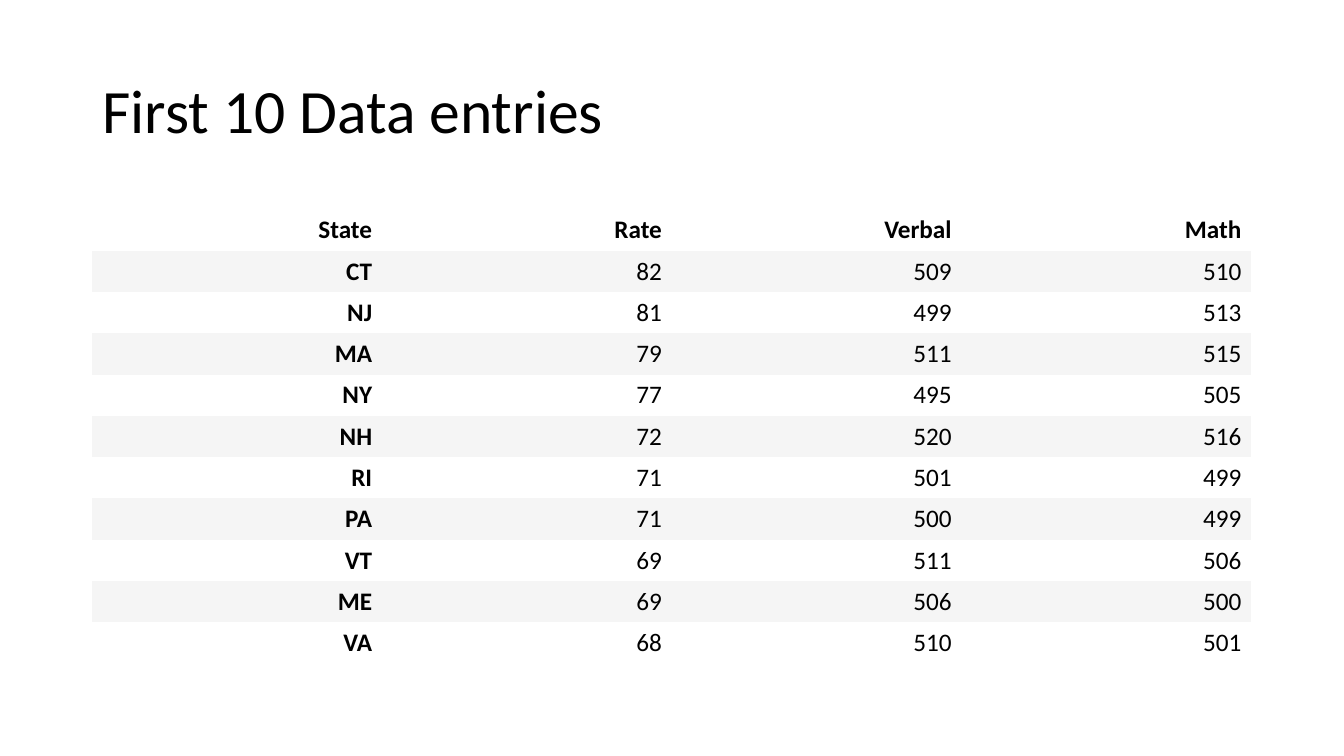
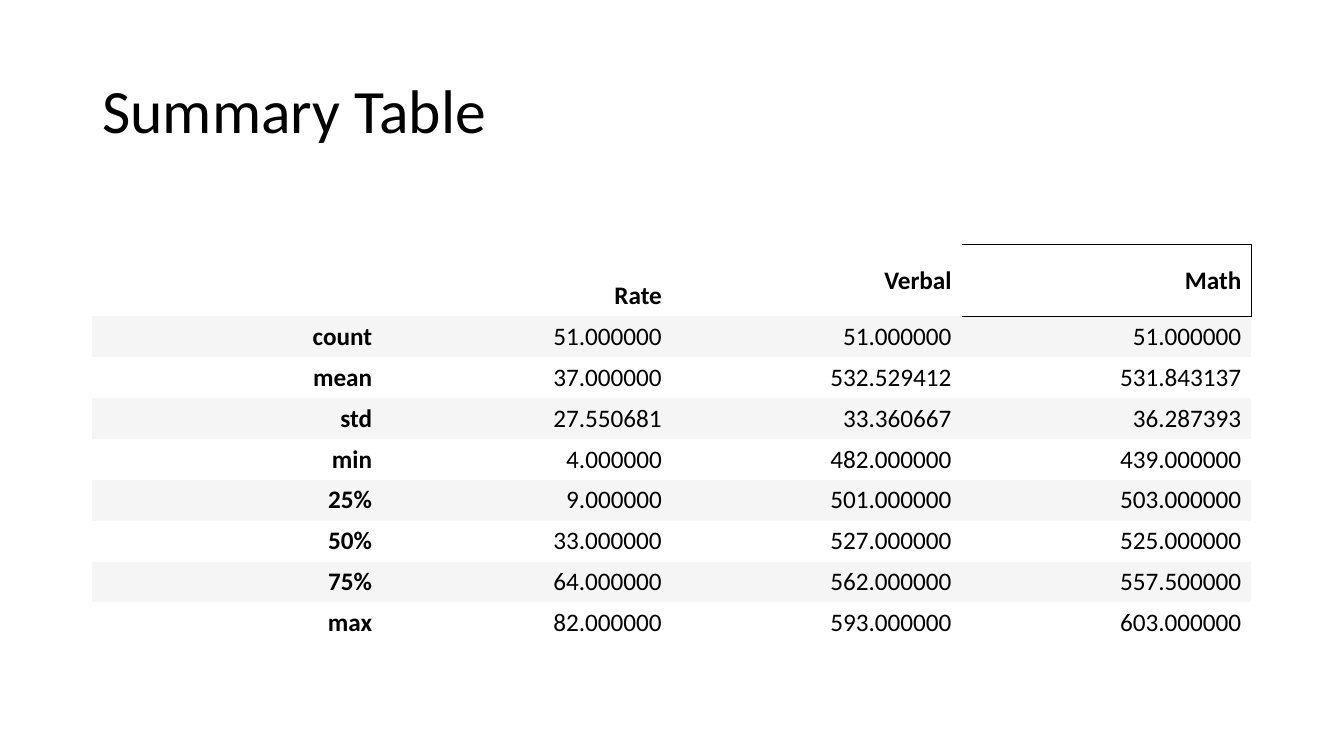
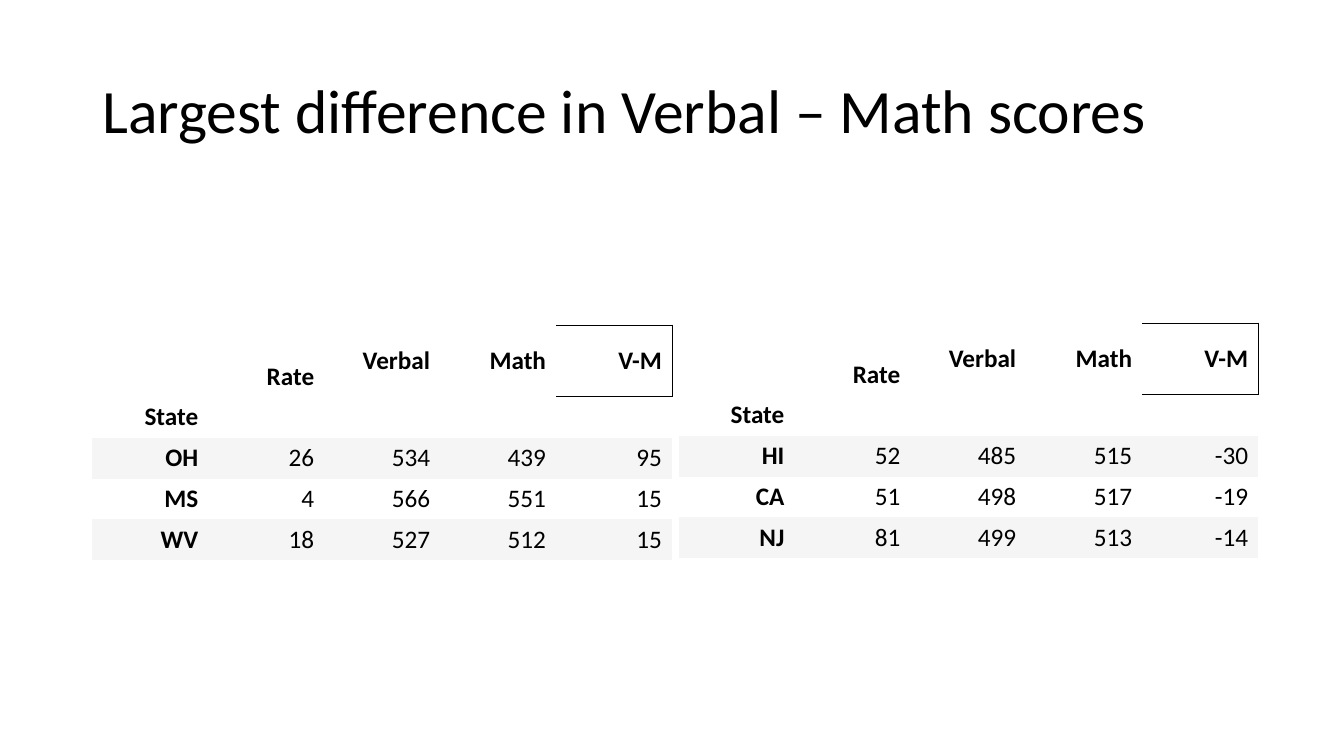
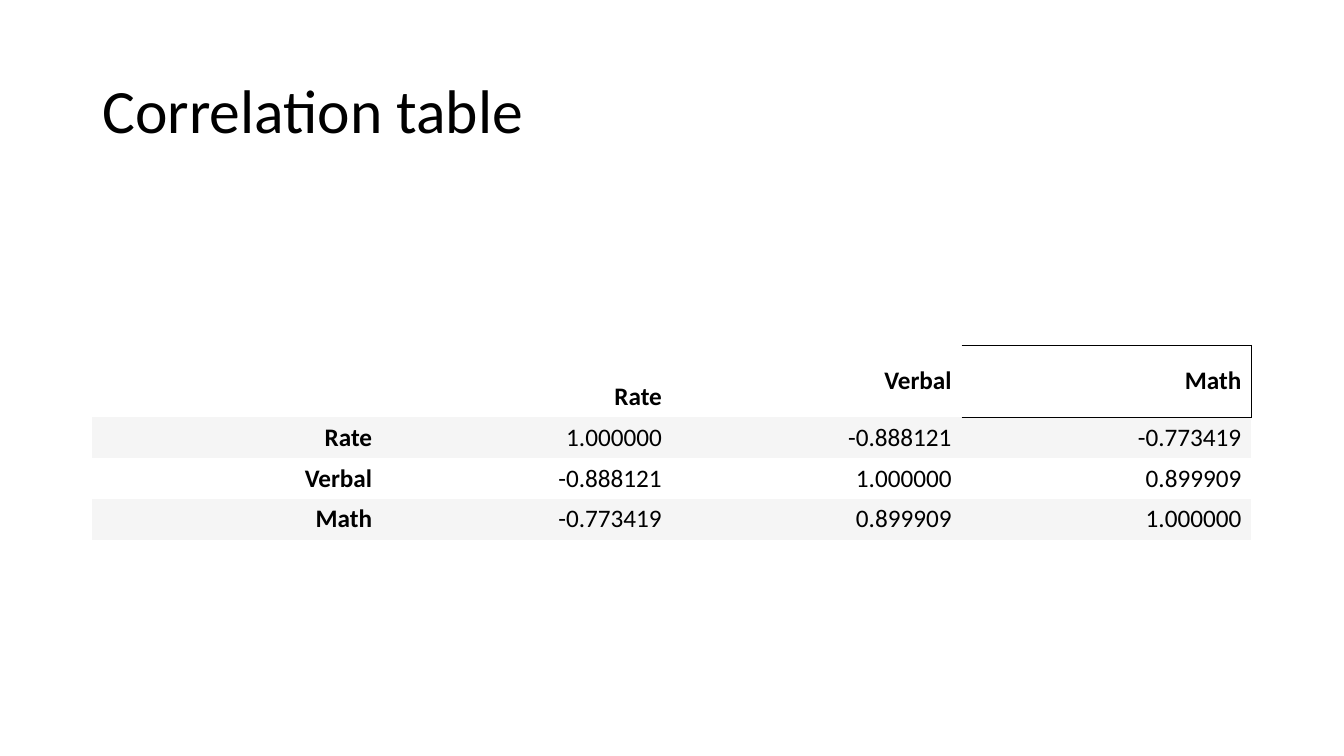
from lxml import etree
from pptx import Presentation
from pptx.dml.color import RGBColor
from pptx.enum.text import MSO_ANCHOR, PP_ALIGN
from pptx.oxml.ns import qn
from pptx.util import Cm, Pt

MIDDLE = MSO_ANCHOR.MIDDLE
BOTTOM = MSO_ANCHOR.BOTTOM
RIGHT = PP_ALIGN.RIGHT
PLAIN_TABLE = "{2D5ABB26-0587-4C30-8999-92F81FD0307C}"


def color(hex_code):
    return RGBColor.from_string(hex_code)


class Deck:
    FONT = "Calibri"
    INK = "000000"
    PAPER = "FFFFFF"
    BAND = "F5F5F5"
    LEFT = 2.33
    WIDTH = 29.21
    ROW = 1.03
    TALL_ROW = 1.81

    def __init__(self):
        self.prs = Presentation()
        self.prs.slide_width = Cm(33.87)
        self.prs.slide_height = Cm(19.05)
        self.slide = None

    def add_slide(self, title):
        self.slide = self.prs.slides.add_slide(self.prs.slide_layouts[6])
        box = self.slide.shapes.add_textbox(
            Cm(self.LEFT), Cm(1.01), Cm(self.WIDTH), Cm(3.68))
        frame = box.text_frame
        frame.word_wrap = True
        frame.vertical_anchor = MIDDLE
        heading = frame.paragraphs[0]
        heading.text = title
        heading.line_spacing = 0.9
        self.style(heading, 44)

    def style(self, paragraph, size, bold=False):
        font = paragraph.font
        font.name = self.FONT
        font.size = Pt(size)
        font.bold = bold
        font.color.rgb = color(self.INK)

    def outline(self, cell):
        props = cell._tc.get_or_add_tcPr()
        for index, side in enumerate(("lnR", "lnT", "lnB")):
            line = etree.Element(qn(f"a:{side}"), w=str(Pt(0.75)))
            fill = etree.SubElement(line, qn("a:solidFill"))
            etree.SubElement(fill, qn("a:srgbClr"), val=self.INK)
            props.insert(index, line)

    def add_table(self, rows, top, left=LEFT, width=WIDTH, row_height=ROW,
                  tall_header=True, first_band=1):
        count = len(rows[0])
        heights = [row_height] * len(rows)
        if tall_header:
            heights[0] = self.TALL_ROW
        table = self.slide.shapes.add_table(
            len(rows), count, Cm(left), Cm(top), Cm(width), Cm(sum(heights))).table
        table._tbl.tblPr.find(qn("a:tableStyleId")).text = PLAIN_TABLE
        for column in table.columns:
            column.width = Cm(width / count)
        for r, values in enumerate(rows):
            table.rows[r].height = Cm(heights[r])
            banded = r >= first_band and (r - first_band) % 2 == 0
            for c, value in enumerate(values):
                cell = table.cell(r, c)
                cell.vertical_anchor = MIDDLE
                cell.fill.solid()
                cell.fill.fore_color.rgb = color(self.BAND if banded else self.PAPER)
                entry = cell.text_frame.paragraphs[0]
                entry.text = value
                entry.alignment = RIGHT
                self.style(entry, 18, bold=r < first_band or c == 0)
        if tall_header:
            table.cell(0, 1).vertical_anchor = BOTTOM
            self.outline(table.cell(0, count - 1))


SCORES = ["Rate", "Verbal", "Math"]
FIRST_ENTRIES = [
    ("CT", "82", "509", "510"),
    ("NJ", "81", "499", "513"),
    ("MA", "79", "511", "515"),
    ("NY", "77", "495", "505"),
    ("NH", "72", "520", "516"),
    ("RI", "71", "501", "499"),
    ("PA", "71", "500", "499"),
    ("VT", "69", "511", "506"),
    ("ME", "69", "506", "500"),
    ("VA", "68", "510", "501"),
]
SUMMARY = [
    ("count", "51.000000", "51.000000", "51.000000"),
    ("mean", "37.000000", "532.529412", "531.843137"),
    ("std", "27.550681", "33.360667", "36.287393"),
    ("min", "4.000000", "482.000000", "439.000000"),
    ("25%", "9.000000", "501.000000", "503.000000"),
    ("50%", "33.000000", "527.000000", "525.000000"),
    ("75%", "64.000000", "562.000000", "557.500000"),
    ("max", "82.000000", "593.000000", "603.000000"),
]
VERBAL_LEADS = [
    ("OH", "26", "534", "439", "95"),
    ("MS", "4", "566", "551", "15"),
    ("WV", "18", "527", "512", "15"),
]
MATH_LEADS = [
    ("HI", "52", "485", "515", "-30"),
    ("CA", "51", "498", "517", "-19"),
    ("NJ", "81", "499", "513", "-14"),
]
CORRELATIONS = [
    ("Rate", "1.000000", "-0.888121", "-0.773419"),
    ("Verbal", "-0.888121", "1.000000", "0.899909"),
    ("Math", "-0.773419", "0.899909", "1.000000"),
]

deck = Deck()

deck.add_slide("First 10 Data entries")
deck.add_table([["State", *SCORES], *FIRST_ENTRIES], top=5.28,
               row_height=1.04, tall_header=False)

deck.add_slide("Summary Table")
deck.add_table([["", *SCORES], *SUMMARY], top=6.16)

deck.add_slide("Largest difference in Verbal – Math scores")
difference_header = [["", *SCORES, "V-M"], ["State", "", "", "", ""]]
for states, left, top in ((VERBAL_LEADS, Deck.LEFT, 8.19), (MATH_LEADS, 17.1, 8.14)):
    deck.add_table(difference_header + states, top, left, Deck.WIDTH / 2, first_band=2)

deck.add_slide("Correlation table")
deck.add_table([["", *SCORES], *CORRELATIONS], top=8.7)

deck.prs.save("out.pptx")
